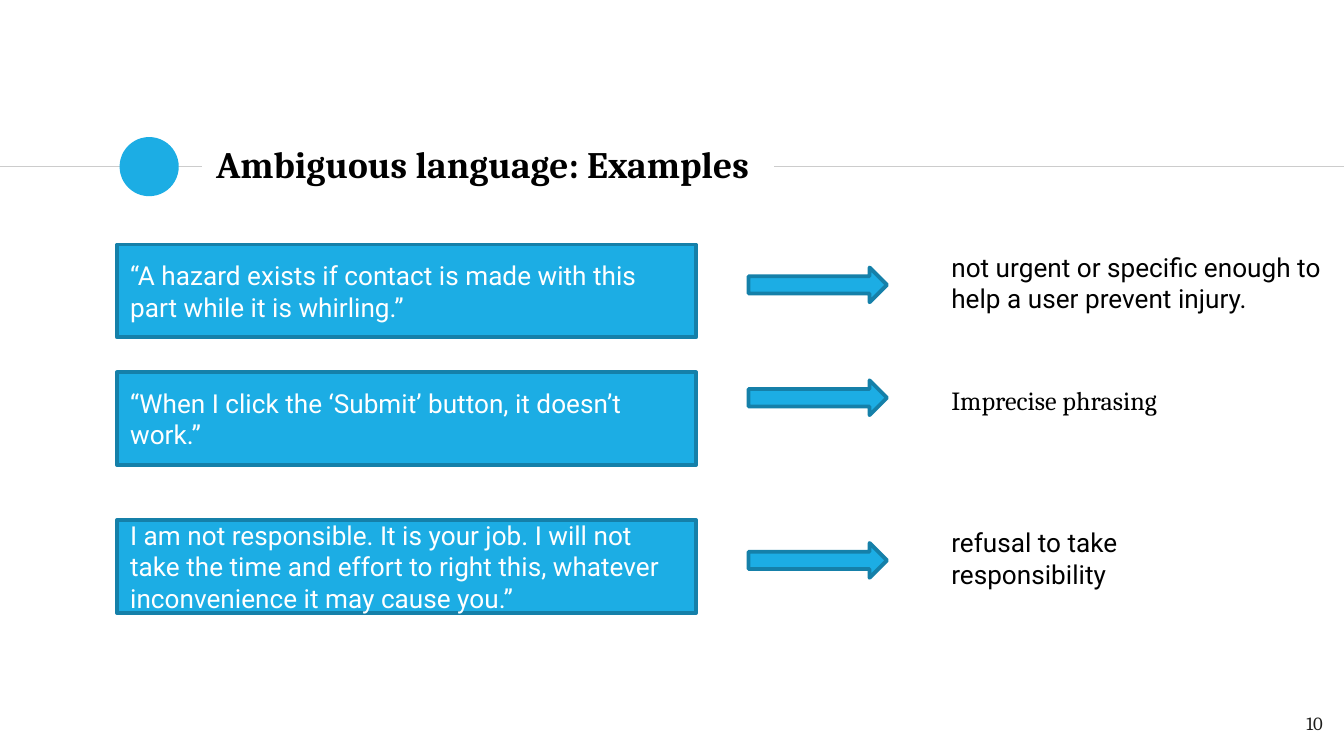
from lxml import etree
from pptx import Presentation
from pptx.dml.color import RGBColor
from pptx.enum import shapes, text
from pptx.oxml import ns
from pptx.util import Inches, Pt

TITLE = "Ambiguous language: Examples"
PAGE = "10"
BLUE, EDGE, GREY, BLACK, WHITE = "1CADE4", "1580A9", "CCCCCC", "000000", "FFFFFF"
SERIF, SANS = "Cambria", "Roboto"

EXAMPLES = [
    dict(quote="“A hazard exists if contact is made with this part while it is whirling.”",
         problem="not urgent or specific enough to help a user prevent injury.",
         font=SANS, quote_y=1.82, arrow_y=1.99, note=(1.82, 3.19, 0.57)),
    dict(quote="“When I click the ‘Submit’ button, it doesn’t work.”",
         problem="Imprecise phrasing",
         font=SERIF, quote_y=2.77, arrow_y=2.83, note=(2.81, 1.87, 0.34)),
    dict(quote="I am not responsible. It is your job. I will not take the time and effort "
               "to right this, whatever inconvenience it may cause you.”",
         problem="refusal to take responsibility",
         font=SANS, quote_y=3.87, arrow_y=4.04, note=(3.87, 2.56, 0.34)),
]
RULES = [(0, 1.5), (5.76, 10)]
RULE_Y = 1.24


def color(value):
    return RGBColor.from_string(value)


def add_rule(s, x1, x2, y):
    line = s.shapes.add_connector(shapes.MSO_CONNECTOR.STRAIGHT,
                                  Inches(x1), Inches(y), Inches(x2), Inches(y))
    line.line.color.rgb = color(GREY)
    line.line.width = Pt(0.75)
    etree.SubElement(line._element.spPr, ns.qn("a:effectLst"))


def add_block(s, kind, x, y, w, h, edge=None):
    sp = s.shapes.add_shape(kind, Inches(x), Inches(y), Inches(w), Inches(h))
    sp.shadow.inherit = False
    sp.fill.solid()
    sp.fill.fore_color.rgb = color(BLUE)
    if edge:
        sp.line.color.rgb = color(edge)
        sp.line.width = Pt(2)
    else:
        sp.line.fill.background()
    return sp


def write(sp, words, size, font, ink, bold=False, inset=None,
          align=text.PP_ALIGN.LEFT, anchor=text.MSO_ANCHOR.TOP):
    tf = sp.text_frame
    tf.word_wrap = True
    tf.vertical_anchor = anchor
    if inset:
        tf.margin_left = tf.margin_right = tf.margin_top = tf.margin_bottom = Inches(inset)
    p = tf.paragraphs[0]
    p.text = words
    p.alignment = align
    p.font.size = Pt(size)
    p.font.name = font
    p.font.bold = bold
    p.font.color.rgb = color(ink)


def add_text(s, x, y, w, h, *args, **kwargs):
    sp = s.shapes.add_textbox(Inches(x), Inches(y), Inches(w), Inches(h))
    write(sp, *args, **kwargs)
    return sp


def main():
    prs = Presentation()
    prs.slide_width = Inches(10)
    prs.slide_height = prs.slide_width * 9 // 16
    s = prs.slides.add_slide(prs.slide_layouts[6])

    for x1, x2 in RULES:
        add_rule(s, x1, x2, RULE_Y)
    add_block(s, shapes.MSO_SHAPE.OVAL, 0.89, 1.02, 0.44, 0.44)
    add_text(s, 1.51, 0.98, 4.24, 0.48, TITLE, 20, SERIF, BLACK, bold=True,
             inset=0.1, anchor=text.MSO_ANCHOR.MIDDLE)
    add_text(s, 9.34, 5.21, 0.6, 0.41, PAGE, 10, SERIF, "1D1D1B",
             inset=0.1, align=text.PP_ALIGN.RIGHT)

    for row in EXAMPLES:
        box = add_block(s, shapes.MSO_SHAPE.RECTANGLE, 0.87, row["quote_y"], 4.31, 0.69, EDGE)
        write(box, row["quote"], 14, SANS, WHITE, anchor=text.MSO_ANCHOR.MIDDLE)
        add_block(s, shapes.MSO_SHAPE.RIGHT_ARROW, 5.57, row["arrow_y"], 1.03, 0.26, EDGE)
        y, w, h = row["note"]
        note = add_text(s, 6.98, y, w, h, row["problem"], 14, row["font"], BLACK)
        note.text_frame.auto_size = text.MSO_AUTO_SIZE.SHAPE_TO_FIT_TEXT

    prs.save("out.pptx")


if __name__ == "__main__":
    main()
